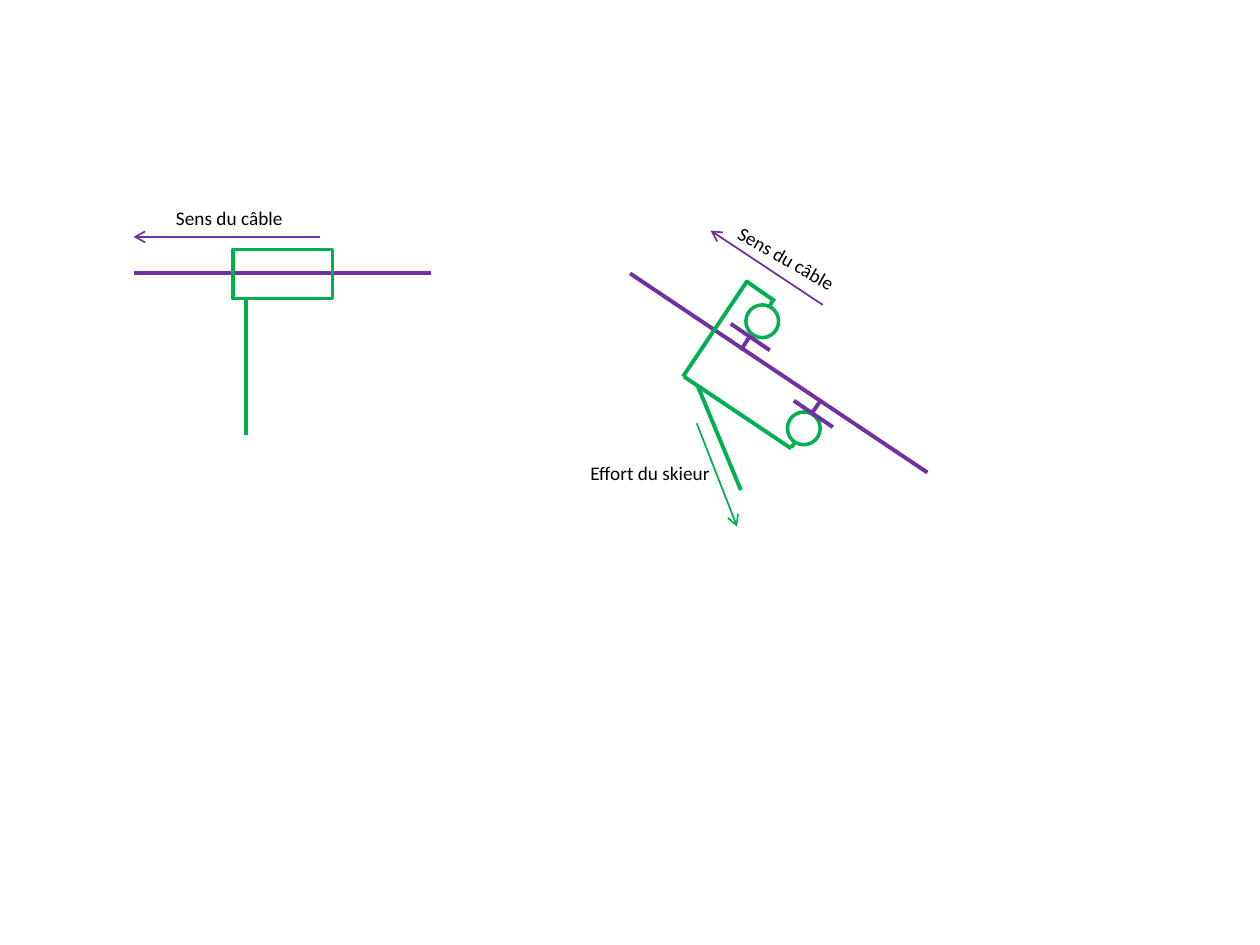
from dataclasses import dataclass

from lxml import etree
from pptx import Presentation
from pptx.dml.color import RGBColor
from pptx.enum.shapes import MSO_CONNECTOR, MSO_SHAPE
from pptx.enum.text import MSO_AUTO_SIZE, PP_ALIGN
from pptx.oxml.ns import qn
from pptx.util import Inches, Pt

STRAIGHT = MSO_CONNECTOR.STRAIGHT
RECTANGLE, OVAL = MSO_SHAPE.RECTANGLE, MSO_SHAPE.OVAL
CENTER = PP_ALIGN.CENTER
GROW = MSO_AUTO_SIZE.SHAPE_TO_FIT_TEXT


@dataclass(frozen=True)
class Theme:
    cable: RGBColor = RGBColor(0x70, 0x30, 0xA0)
    grip: RGBColor = RGBColor(0x00, 0xB0, 0x50)
    text: RGBColor = RGBColor(0x00, 0x00, 0x00)
    font: str = "Calibri"
    label: Pt = Pt(11)
    bar: Pt = Pt(2.25)
    outline: Pt = Pt(2)
    arrow: Pt = Pt(1)


theme = Theme()
prs = Presentation()
prs.slide_width, prs.slide_height = Inches(10), Inches(7.5)
s = prs.slides.add_slide(prs.slide_layouts[6])


def add_line(x1, y1, x2, y2, color, width=theme.bar, arrow=False):
    """Draw a straight line; an arrow points at its first end."""
    c = s.shapes.add_connector(STRAIGHT, *map(Inches, (x1, y1, x2, y2)))
    c.line.color.rgb = color
    c.line.width = width
    if arrow:
        ln = c.line._get_or_add_ln()
        etree.SubElement(ln, qn("a:headEnd"), type="arrow")
    etree.SubElement(c._element.spPr, qn("a:effectLst"))


def add_label(text, left, top, rotation=0, size=theme.label, color=theme.text):
    box = s.shapes.add_textbox(Inches(left), Inches(top), Inches(1.48), Inches(0.29))
    box.rotation = rotation
    tf = box.text_frame
    tf.word_wrap = True
    tf.auto_size = GROW
    p = tf.paragraphs[0]
    p.alignment = CENTER
    r = p.add_run()
    r.text = text
    r.font.name, r.font.size, r.font.color.rgb = theme.font, size, color


# Cables: flat on the left, sloping on the right
for ends in [(1.06, 2.17, 3.42, 2.17), (5, 2.17, 7.36, 3.75)]:
    add_line(*ends, theme.cable)

# Grip body on the flat cable and the two rollers on the slope
for kind, left, top, width, height in [
    (RECTANGLE, 1.85, 1.98, 0.79, 0.39),
    (OVAL, 6.25, 3.27, 0.26, 0.26),
    (OVAL, 5.92, 2.42, 0.26, 0.26),
]:
    sp = s.shapes.add_shape(kind, *map(Inches, (left, top, width, height)))
    sp.shadow.inherit = False
    sp.fill.background()
    sp.line.color.rgb = theme.grip
    sp.line.width = theme.outline

# Stops fixed to the sloping cable: plate, then stem
for ends in [
    (5.8, 2.57, 6.11, 2.78), (5.95, 2.67, 5.88, 2.78),
    (6.3, 3.18, 6.61, 3.39), (6.52, 3.17, 6.45, 3.27),
]:
    add_line(*ends, theme.cable)

# Tow bars, then the grip frame from upper to lower roller
for ends in [
    (1.95, 2.37, 1.95, 3.45), (5.54, 3.07, 5.88, 3.89),
    (6.13, 2.39, 6.11, 2.43), (6.15, 2.39, 5.92, 2.23),
    (5.93, 2.23, 5.42, 2.99), (5.43, 2.99, 6.28, 3.56),
    (6.31, 3.51, 6.28, 3.55),
]:
    add_line(*ends, theme.grip)

# Direction arrows
for ends, color in [
    ((1.06, 1.88, 2.54, 1.88), theme.cable),
    ((5.64, 1.83, 6.53, 2.42), theme.cable),
    ((5.85, 4.18, 5.53, 3.36), theme.grip),
]:
    add_line(*ends, color, width=theme.arrow, arrow=True)

# Labels
add_label("Sens du câble", 1.08, 1.59)
add_label("Sens du câble", 5.5, 1.91, rotation=30)
add_label("Effort du skieur", 4.42, 3.61)

prs.save("out.pptx")
